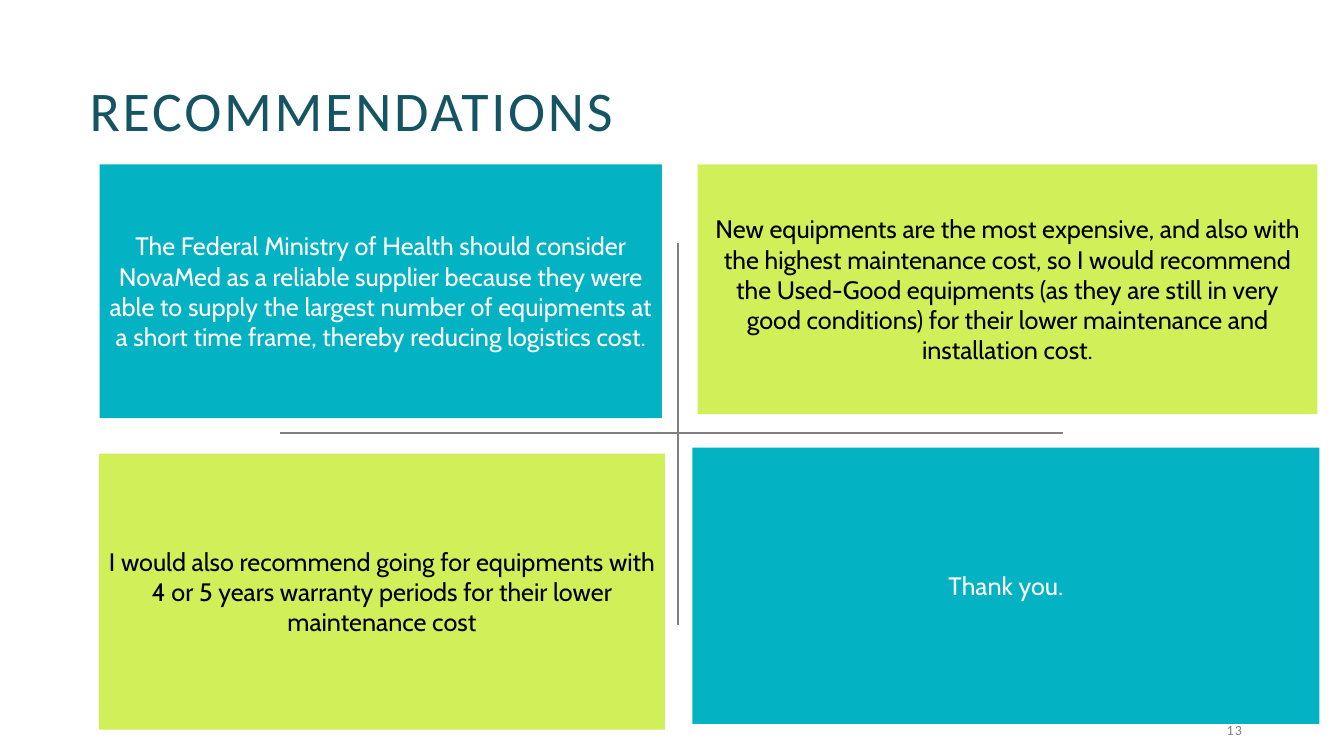
from pptx import Presentation
from pptx.dml.color import RGBColor
from pptx.enum.shapes import MSO_CONNECTOR, MSO_SHAPE
from pptx.enum.text import MSO_ANCHOR, PP_ALIGN
from pptx.oxml.ns import qn
from pptx.util import Cm, Pt
from lxml import etree

LINE = MSO_CONNECTOR.STRAIGHT
RECT = MSO_SHAPE.RECTANGLE
MIDDLE = MSO_ANCHOR.MIDDLE
LEFT, CENTER, RIGHT = PP_ALIGN.LEFT, PP_ALIGN.CENTER, PP_ALIGN.RIGHT

TEAL, LIME = "04B3C3", "D1EF59"
WHITE, BLACK, GRAY, NAVY = "FFFFFF", "000000", "808080", "155463"


def color(code):
    return RGBColor.from_string(code)


class Board:
    head = "Calibri"
    body = "Cabin"

    def __init__(self, slide):
        self.slide = slide

    def put_text(self, shape, text, font, size, ink, align):
        frame = shape.text_frame
        frame.word_wrap = True
        frame.vertical_anchor = MIDDLE
        para = frame.paragraphs[0]
        run = para.add_run()
        run.text = text
        para.alignment = align
        para.font.name = font
        para.font.size = Pt(size)
        para.font.color.rgb = color(ink)
        return run

    def line(self, x1, y1, x2, y2):
        rule = self.slide.shapes.add_connector(LINE, Cm(x1), Cm(y1), Cm(x2), Cm(y2))
        rule.line.color.rgb = color(GRAY)
        rule.line.width = Pt(1.5)
        etree.SubElement(rule._element.spPr, qn("a:effectLst"))

    def label(self, box, text, size, ink, align, gap):
        shape = self.slide.shapes.add_textbox(*map(Cm, box))
        run = self.put_text(shape, text, self.head, size, ink, align)
        # Letter spacing, in hundredths of a point
        run._r.get_or_add_rPr().set("spc", str(gap * 100))

    def card(self, box, text, fill, ink):
        shape = self.slide.shapes.add_shape(RECT, *map(Cm, box))
        shape.shadow.inherit = False
        shape.fill.solid()
        shape.fill.fore_color.rgb = color(fill)
        shape.line.fill.background()
        self.put_text(shape, text, self.body, 18, ink, CENTER)


def main():
    deck = Presentation()
    deck.slide_width, deck.slide_height = Cm(33.87), Cm(19.05)
    board = Board(deck.slides.add_slide(deck.slide_layouts[6]))

    # Cross between the cards
    board.line(17.09, 6.12, 17.09, 15.75)
    board.line(26.8, 10.92, 7.06, 10.92)

    # Title and slide number
    board.label((2.01, 1.85, 16.76, 1.8), "RECOMMENDATIONS", 40, NAVY, LEFT, 2)
    board.label((23.93, 18.11, 7.62, 0.56), "13", 10, GRAY, RIGHT, 1)

    # Recommendation cards
    cards = [
        ((2.51, 4.14, 14.17, 6.4), TEAL, WHITE,
         "The Federal Ministry of Health should consider NovaMed as a reliable "
         "supplier because they were able to supply the largest number of "
         "equipments at a short time frame, thereby reducing logistics cost."),
        ((17.45, 11.28, 15.8, 6.96), TEAL, WHITE, "Thank you."),
        ((17.58, 4.14, 15.62, 6.3), LIME, BLACK,
         "New equipments are the most expensive, and also with the highest "
         "maintenance cost, so I would recommend the Used-Good equipments (as "
         "they are still in very good conditions) for their lower maintenance "
         "and installation cost."),
        ((2.49, 11.43, 14.27, 6.96), LIME, BLACK,
         "I would also recommend going for equipments with 4 or 5 years "
         "warranty periods for their lower maintenance cost"),
    ]
    for box, fill, ink, text in cards:
        board.card(box, text, fill, ink)

    deck.save("out.pptx")


if __name__ == "__main__":
    main()
